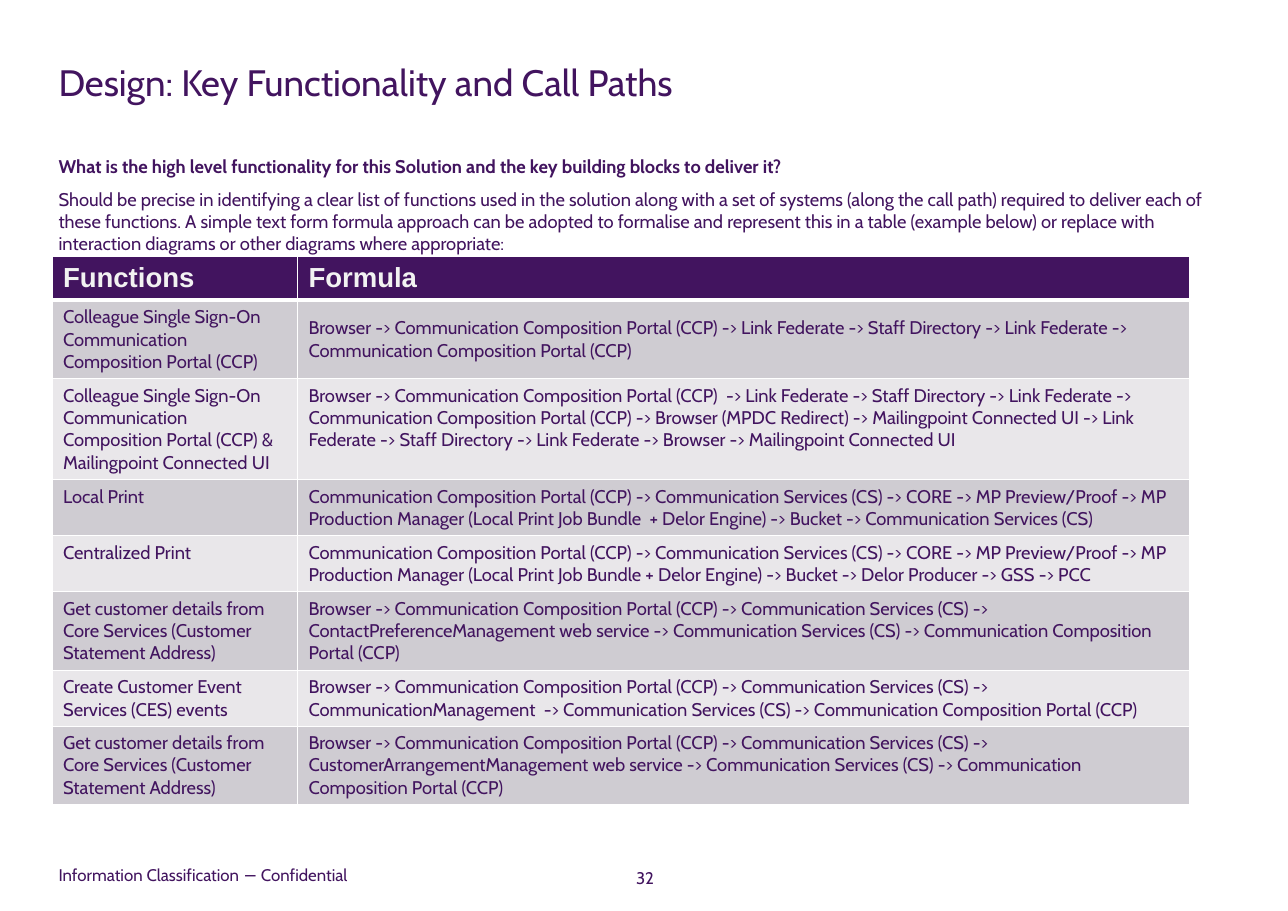
from dataclasses import dataclass

from lxml import etree
from pptx import Presentation
from pptx import util as u
from pptx.dml.color import RGBColor
from pptx.enum import text
from pptx.oxml import ns

TITLE = "Design: Key Functionality and Call Paths"
INTRO = [
    "What is the high level functionality for this Solution and the key building blocks to deliver it?",
    "Should be precise in identifying a clear list of functions used in the solution along with a set of systems "
    "(along the call path) required to deliver each of these functions. A simple text form formula approach can be "
    "adopted to formalise and represent this in a table (example below) or replace with interaction diagrams or "
    "other diagrams where appropriate:",
]
HEADS = ("Functions", "Formula")
ROWS = [
    (3, "Colleague Single Sign-On Communication Composition Portal (CCP)",
     "Browser -> Communication Composition Portal (CCP) -> Link Federate -> Staff Directory -> Link Federate -> "
     "Communication Composition Portal (CCP)"),
    (4, "Colleague Single Sign-On Communication Composition Portal (CCP) & Mailingpoint Connected UI",
     "Browser -> Communication Composition Portal (CCP)  -> Link Federate -> Staff Directory -> Link Federate -> "
     "Communication Composition Portal (CCP) -> Browser (MPDC Redirect) -> Mailingpoint Connected UI -> "
     "Link Federate -> Staff Directory -> Link Federate -> Browser -> Mailingpoint Connected UI"),
    (2, "Local Print",
     "Communication Composition Portal (CCP) -> Communication Services (CS) -> CORE -> MP Preview/Proof -> "
     "MP Production Manager (Local Print Job Bundle  + Delor Engine) -> Bucket -> Communication Services (CS)"),
    (2, "Centralized Print",
     "Communication Composition Portal (CCP) -> Communication Services (CS) -> CORE -> MP Preview/Proof -> "
     "MP Production Manager (Local Print Job Bundle + Delor Engine) -> Bucket -> Delor Producer -> GSS -> PCC"),
    (3, "Get customer details from Core Services (Customer Statement Address)",
     "Browser -> Communication Composition Portal (CCP) -> Communication Services (CS) -> "
     "ContactPreferenceManagement web service -> Communication Services (CS) -> "
     "Communication Composition Portal (CCP)"),
    (2, "Create Customer Event Services (CES) events",
     "Browser -> Communication Composition Portal (CCP) -> Communication Services (CS) -> "
     "CommunicationManagement  -> Communication Services (CS) -> Communication Composition Portal (CCP)"),
    (3, "Get customer details from Core Services (Customer Statement Address)",
     "Browser -> Communication Composition Portal (CCP) -> Communication Services (CS) -> "
     "CustomerArrangementManagement web service -> Communication Services (CS) -> "
     "Communication Composition Portal (CCP)"),
]
FOOT = "Information Classification − Confidential"
PAGE = "32"


@dataclass(frozen=True)
class Theme:
    font: str = "Cabin"
    head: str = "Arial"
    ink: str = "42145F"
    pale: str = "F2F2F2"
    rule: str = "FFFFFF"
    bands: tuple = ("CFCCD2", "E9E7EA")
    title: int = 24
    top: int = 18
    body: int = 12
    small: int = 11


LOOK = Theme()
LEFT = 1.35
COLS = (5.66, 20.57)
HEAD, LINE, PAD = 1.0, 0.52, 0.25


def style(para, size, color=LOOK.ink, font=LOOK.font, bold=False):
    for run in para.runs:
        run.font.name = font
        run.font.size = u.Pt(size)
        run.font.bold = bold
        run.font.color.rgb = RGBColor.from_string(color)


def place(shape, left, top, width, height, wrap=True, anchor=text.MSO_ANCHOR.TOP):
    shape.left, shape.top = u.Cm(left), u.Cm(top)
    shape.width, shape.height = u.Cm(width), u.Cm(height)
    frame = shape.text_frame
    frame.margin_left = frame.margin_right = frame.margin_top = frame.margin_bottom = 0
    frame.auto_size = text.MSO_AUTO_SIZE.NONE
    frame.word_wrap = wrap
    frame.vertical_anchor = anchor
    return frame


def label(slide, words, left, top, width, wrap, align):
    box = slide.shapes.add_textbox(0, 0, 0, 0)
    frame = place(box, left, top, width, 0.76, wrap, text.MSO_ANCHOR.MIDDLE)
    frame.text = words
    frame.paragraphs[0].alignment = align
    style(frame.paragraphs[0], LOOK.small)


def edge(cell, base):
    props = cell._tc.get_or_add_tcPr()
    for side, width in (("L", 1), ("R", 1), ("T", 1), ("B", base)):
        line = etree.SubElement(props, ns.qn(f"a:ln{side}"), w=str(u.Pt(width)))
        fill = etree.SubElement(line, ns.qn("a:solidFill"))
        etree.SubElement(fill, ns.qn("a:srgbClr"), val=LOOK.rule)


def paint(cell, words, fill, base, *look):
    cell.text = words
    style(cell.text_frame.paragraphs[0], *look)
    edge(cell, base)
    cell.fill.solid()
    cell.fill.fore_color.rgb = RGBColor.from_string(fill)


def grid(slide):
    highs = [HEAD] + [PAD + LINE * count for count, *_ in ROWS]
    frame = slide.shapes.add_table(len(highs), len(COLS), u.Cm(1.2), u.Cm(5.92),
                                   u.Cm(sum(COLS)), u.Cm(sum(highs)))
    table = frame.table
    table.horz_banding = False
    for col, width in zip(table.columns, COLS):
        col.width = u.Cm(width)
    for row, high in zip(table.rows, highs):
        row.height = u.Cm(high)
    for col, words in enumerate(HEADS):
        paint(table.cell(0, col), words, LOOK.ink, 3, LOOK.top, LOOK.pale, LOOK.head, True)
    for row, (_, *cells) in enumerate(ROWS):
        for col, words in enumerate(cells):
            paint(table.cell(row + 1, col), words, LOOK.bands[row % 2], 1, LOOK.body)
    for col in range(len(COLS)):
        table.cell(1, col).vertical_anchor = text.MSO_ANCHOR.MIDDLE


def intro(shape):
    frame = place(shape, LEFT, 3.58, 27.0, 2.64)
    frame.text = "\n".join(INTRO)
    for spot, para in enumerate(frame.paragraphs):
        props = para._p.get_or_add_pPr()
        props.set("marL", "0")
        props.set("indent", "0")
        etree.SubElement(props, ns.qn("a:buNone"))
        para.space_before = u.Pt(7 if spot else 0)
        style(para, LOOK.body, bold=spot == 0)


def main():
    deck = Presentation()
    deck.slide_width, deck.slide_height = u.Cm(29.7), u.Cm(21)
    slide = deck.slides.add_slide(deck.slide_layouts[1])
    head = place(slide.shapes.title, LEFT, 1.37, 23.8, 1.5, False)
    head.text = TITLE
    head.paragraphs[0].alignment = text.PP_ALIGN.LEFT
    style(head.paragraphs[0], LOOK.title)
    intro(slide.placeholders[1])
    grid(slide)
    label(slide, FOOT, LEFT, 19.79, 6.91, False, text.PP_ALIGN.LEFT)
    label(slide, PAGE, 14.05, 19.86, 1.65, True, text.PP_ALIGN.CENTER)
    deck.save("out.pptx")


if __name__ == "__main__":
    main()
